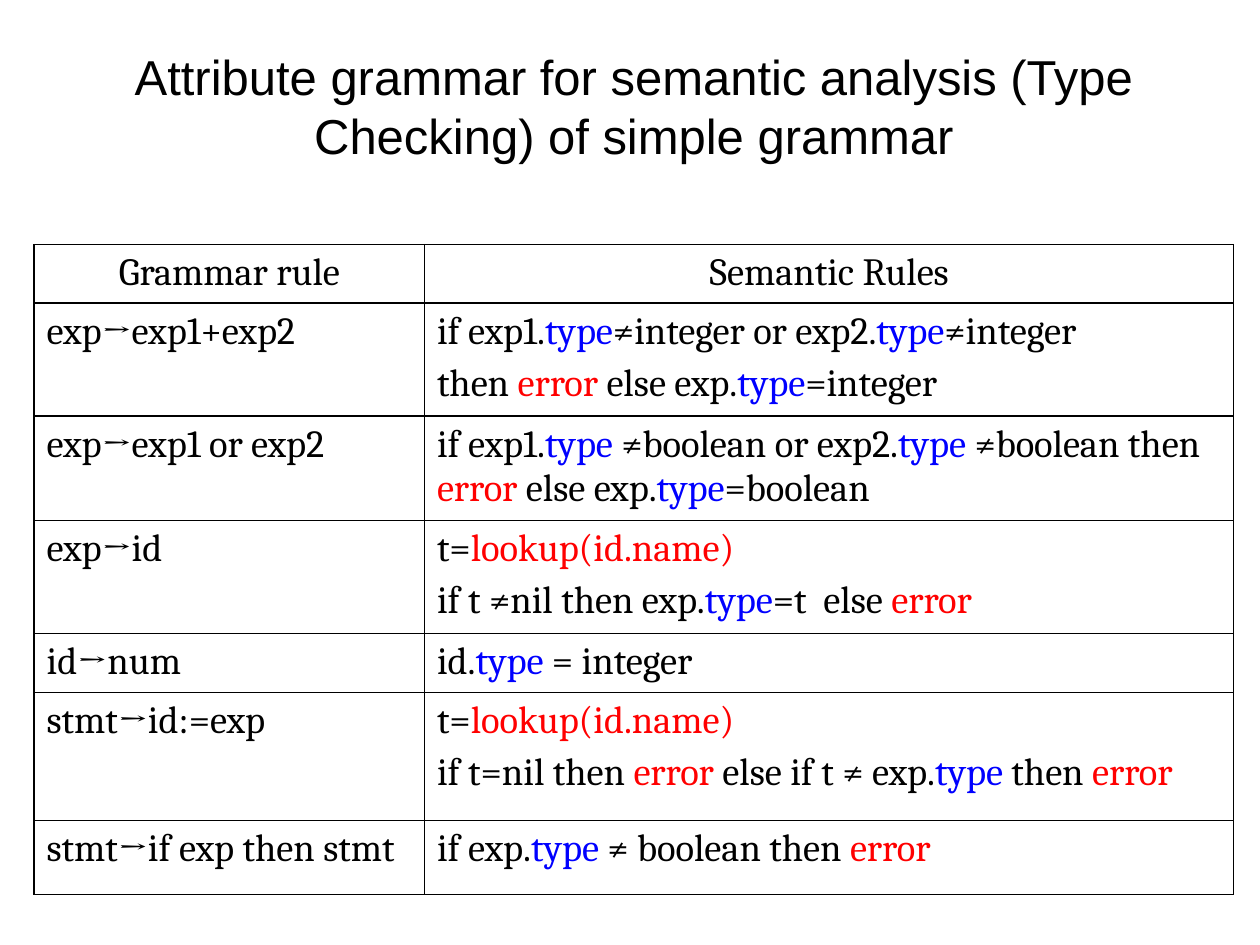
"""Build a slide with a table of type-checking rules for a simple grammar."""
from dataclasses import dataclass

from lxml.etree import SubElement
from pptx import Presentation
from pptx.dml.color import RGBColor
from pptx.enum.text import MSO_ANCHOR, PP_ALIGN
from pptx.oxml.ns import qn
from pptx.util import Cm, Pt


@dataclass(frozen=True)
class Theme:
    title_font: str = "Arial"
    table_font: str = "Cambria"
    title_size: int = 28
    table_size: int = 22
    border_width: int = 1
    text: str = "000000"
    background: str = "FFFFFF"
    attribute: str = "0000FF"
    warning: str = "FF0000"


theme = Theme()
run_colors = {
    "type": theme.attribute,
    "error": theme.warning,
    "lookup(id.name)": theme.warning,
}
column_widths = [7.87, 16.31]
rows = [
    (1.18, "Grammar rule", ["Semantic Rules"]),
    (2.28, "exp→exp1+exp2", [
        "if exp1.|type|≠integer or exp2.|type|≠integer",
        "then |error |else exp.|type|=integer",
    ]),
    (2.1, "exp→exp1 or exp2", [
        "if exp1.|type| ≠boolean or exp2.|type| ≠boolean then |error |else exp.|type|=boolean",
    ]),
    (2.28, "exp→id", [
        "t=|lookup(id.name)",
        "if t ≠nil then exp.|type|=t  else |error",
    ]),
    (1.19, "id→num", ["id.|type| = integer"]),
    (2.58, "stmt→id:=exp", [
        "t=|lookup(id.name)",
        "if t=nil then |error |else if t ≠ exp.|type| then |error",
    ]),
    (1.49, "stmt→if exp then stmt", ["if exp.|type| ≠ boolean then |error"]),
]


def add_runs(paragraph, marked_text, font_name, size):
    for text in marked_text.split("|"):
        run = paragraph.add_run()
        run.text = text
        run.font.name = font_name
        run.font.size = Pt(size)
        color = run_colors.get(text.strip(), theme.text)
        run.font.color.rgb = RGBColor.from_string(color)


def format_cell(cell):
    cell.margin_left = cell.margin_right = Cm(0.25)
    cell.margin_top = cell.margin_bottom = Cm(0.13)
    properties = cell._tc.get_or_add_tcPr()
    for side in ("a:lnL", "a:lnR", "a:lnT", "a:lnB"):
        line = SubElement(properties, qn(side), w=str(Pt(theme.border_width)))
        line_fill = SubElement(line, qn("a:solidFill"))
        SubElement(line_fill, qn("a:srgbClr"), val=theme.text)
    cell.fill.solid()
    cell.fill.fore_color.rgb = RGBColor.from_string(theme.background)


presentation = Presentation()
presentation.slide_width = Cm(25.4)
presentation.slide_height = Cm(19.05)
slide = presentation.slides.add_slide(presentation.slide_layouts[5])

title = slide.shapes.title
title.left, title.top = Cm(1.14), Cm(0.69)
title.width, title.height = Cm(23.27), Cm(2.87)
title.text_frame.vertical_anchor = MSO_ANCHOR.MIDDLE
title_paragraph = title.text_frame.paragraphs[0]
title_paragraph.alignment = PP_ALIGN.CENTER
add_runs(
    title_paragraph,
    "Attribute grammar for semantic analysis (Type Checking) of simple grammar",
    theme.title_font,
    theme.title_size,
)

table_height = sum(height for height, _, _ in rows)
table = slide.shapes.add_table(
    len(rows), len(column_widths), Cm(0.69), Cm(4.93),
    Cm(sum(column_widths)), Cm(table_height),
).table
table.first_row = False
table.horz_banding = False
for column, width in zip(table.columns, column_widths):
    column.width = Cm(width)

for row_index, (height, grammar_rule, semantic_rules) in enumerate(rows):
    table.rows[row_index].height = Cm(height)
    for column_index, lines in enumerate(([grammar_rule], semantic_rules)):
        cell = table.cell(row_index, column_index)
        format_cell(cell)
        for line_index, marked_text in enumerate(lines):
            if line_index == 0:
                paragraph = cell.text_frame.paragraphs[0]
            else:
                paragraph = cell.text_frame.add_paragraph()
                paragraph.space_before = Pt(0.2 * theme.table_size)
            paragraph.alignment = PP_ALIGN.CENTER if row_index == 0 else PP_ALIGN.LEFT
            add_runs(paragraph, marked_text, theme.table_font, theme.table_size)

presentation.save("out.pptx")
